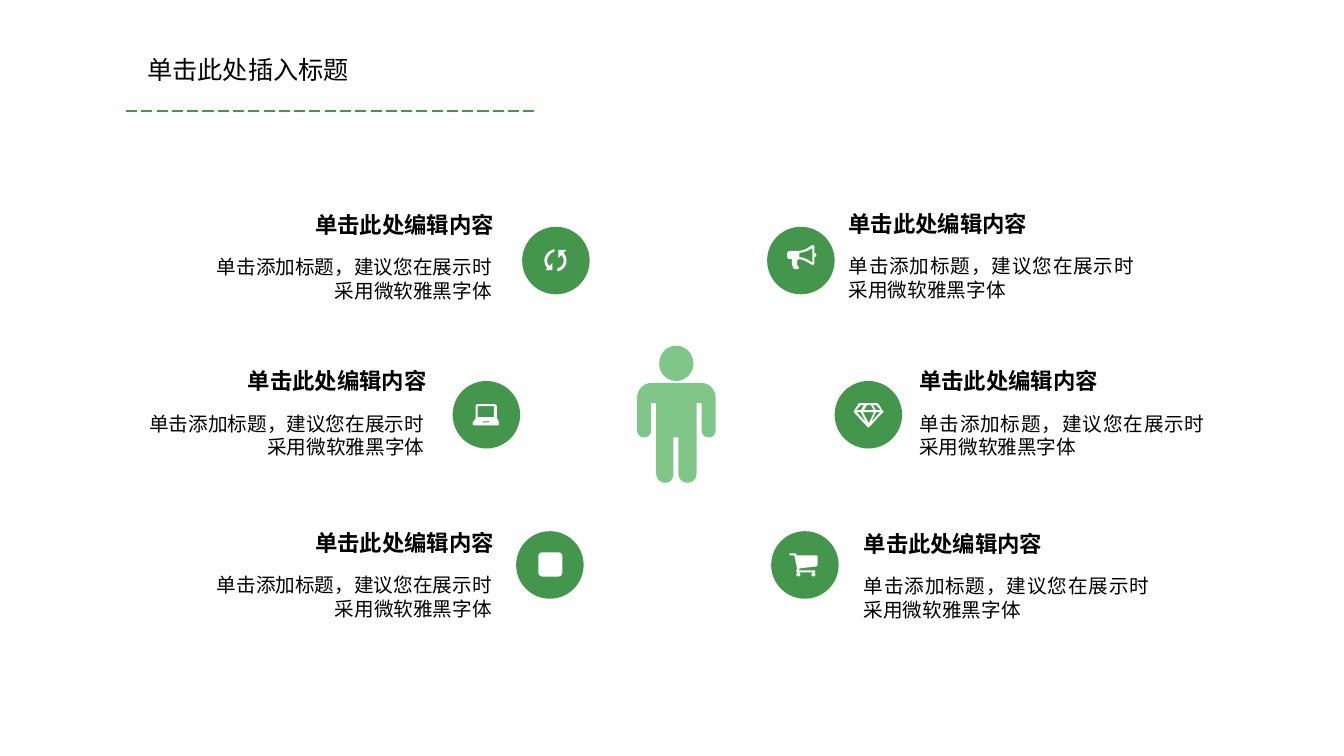
from dataclasses import dataclass

from lxml.etree import SubElement
from pptx import Presentation
from pptx.dml.color import RGBColor
from pptx.enum.dml import MSO_LINE
from pptx.enum.lang import MSO_LANGUAGE_ID
from pptx.enum.shapes import MSO_CONNECTOR, MSO_SHAPE
from pptx.enum.text import MSO_ANCHOR, MSO_AUTO_SIZE, PP_ALIGN
from pptx.oxml.ns import qn
from pptx.util import Inches, Pt

COLUMNS, ROWS = 133.33, 75
POINTS_PER_CELL = 10  # outline units in one grid cell
CURVE_STEPS = 8


@dataclass(frozen=True)
class Theme:
    badge: RGBColor = RGBColor(0x43, 0x96, 0x4C)
    person: RGBColor = RGBColor(0x80, 0xC6, 0x88)
    icon: RGBColor = RGBColor(0xFF, 0xFF, 0xFF)
    text: RGBColor = RGBColor(0, 0, 0)
    font: str = "Quicksand"
    chinese_font: str = "Noto Sans CJK SC"
    title_size: int = 18
    heading_size: int = 16
    detail_size: int = 14
    detail_leading: int = 17


# Outlines are measured from the top left corner of the badge or figure.
MEGAPHONE = """M 45 21 C 41 24 37 25 32 26 L 32 30 C 37 31 41 32 45 36 Z
M 49 28 C 49 29 48 30 47 30 L 47 36 C 47 37 46 38 45 38 C 42 36 37 33 32 32
C 30 33 29 35 30 36 C 29 38 31 39 32 41 C 31 42 27 43 26 41 C 25 38 24 36 25 32
L 23 32 C 21 32 20 31 20 30 L 20 27 C 20 25 21 24 23 24 L 30 24
C 37 24 42 20 45 18 C 46 18 47 19 47 20 L 47 26 C 48 26 49 27 49 28 Z"""
DIAMOND = """M 46 29 L 41 24 L 38 24 L 41 29 Z M 45 31 L 41 31 L 36 41 Z
M 39 29 L 36 24 L 32 24 L 29 29 Z M 39 31 L 28 31 L 34 42 Z
M 31 41 L 26 31 L 22 31 Z M 29 24 L 26 24 L 21 29 L 26 29 Z
M 48 30 C 49 30 49 31 48 31 L 34 46 L 33 46 L 19 31 L 19 30 L 24 22 L 43 22 Z"""
CART = """M 42 45 C 41 45 40 44 40 43 C 40 42 41 41 42 41 C 43 41 44 42 44 43
C 44 44 43 45 42 45 Z M 27 45 C 26 45 25 44 25 43 C 25 42 26 41 27 41
C 28 41 29 42 29 43 C 29 44 28 45 27 45 Z
M 46 33 C 46 34 46 34 45 35 L 28 37 L 28 38 L 27 39 L 43 39 C 43 39 44 39 44 40
C 44 40 43 41 43 41 L 26 41 C 25 41 25 40 25 40 C 25 39 25 38 26 38 L 23 24
L 19 24 C 19 24 18 23 18 23 C 18 22 19 22 19 22 L 24 22 C 25 22 25 23 25 24
L 45 24 C 46 24 46 24 46 25 Z"""
REFRESH = """M 36 23 L 36 31 L 39 28 C 42 31 42 36 39 39 C 38 40 36 41 35 41
L 35 44 C 37 44 39 43 41 41 C 45 37 45 30 41 26 L 44 23 Z
M 27 39 C 24 36 24 31 28 27 C 29 26 30 25 32 25 L 32 22 C 30 23 27 24 26 25
C 21 30 21 36 25 41 L 23 43 L 30 43 L 30 36 Z"""
LAPTOP = """M 41 36 L 25 36 L 25 25 L 41 25 Z M 29 41 L 30 40 L 36 40 L 37 41 Z
M 46 41 C 46 40 44 37 44 37 L 44 25 C 44 24 43 23 41 23 L 25 23
C 24 23 23 24 23 25 L 23 37 C 23 37 21 40 20 41 L 20 43 C 20 43 21 44 21 44
L 45 44 C 46 44 46 43 46 42 Z"""
PERSON = """M 39 35 C 29 35 22 27 22 18 C 22 8 29 0 39 0 C 48 0 56 8 56 18
C 56 27 48 35 39 35 Z M 78 84 C 78 88 75 91 71 91 C 67 91 64 88 64 84 L 64 57
L 59 57 L 59 127 C 59 132 55 136 50 136 C 45 136 41 132 41 127 L 41 91 L 36 91
L 36 127 C 36 132 33 136 28 136 C 23 136 19 132 19 127 L 19 57 L 14 57 L 14 84
C 14 88 11 91 7 91 C 3 91 0 88 0 84 L 0 52 C 0 44 6 37 14 37 L 64 37
C 72 37 78 44 78 52 Z"""

HEADING = "单击此处编辑内容"
DETAIL = "单击添加标题，建议您在展示时采用微软雅黑字体"

# badge column, badge row, text column, heading row, alignment, icon
ITEMS = [
    (76.1, 22.5, 83.2, 20.1, PP_ALIGN.JUSTIFY, MEGAPHONE),
    (82.8, 37.8, 90.2, 35.7, PP_ALIGN.JUSTIFY, DIAMOND),
    (76.5, 52.7, 84.7, 51.8, PP_ALIGN.JUSTIFY, CART),
    (51.8, 22.5, 19.5, 20.2, PP_ALIGN.RIGHT, REFRESH),
    (44.9, 37.8, 12.8, 35.7, PP_ALIGN.RIGHT, LAPTOP),
    (51.2, 52.7, 19.5, 51.7, PP_ALIGN.RIGHT, None),
]


def trace_contours(outline):
    """Turn M, L, C and Z commands into one list of points per contour."""
    contours = []
    for command in outline.replace("Z", "").replace("M", "|M").split("|")[1:]:
        points = []
        for step in command.replace("L", "|L").replace("C", "|C").split("|"):
            numbers = [int(word) for word in step.split()[1:]]
            pairs = list(zip(numbers[::2], numbers[1::2]))
            if len(pairs) == 1:
                points += pairs
                continue
            corners = [points[-1], *pairs]
            for index in range(1, CURVE_STEPS + 1):
                t = index / CURVE_STEPS
                weights = ((1 - t) ** 3, 3 * t * (1 - t) ** 2, 3 * t * t * (1 - t), t ** 3)
                points.append(tuple(
                    sum(weight * corner[axis] for weight, corner in zip(weights, corners))
                    for axis in (0, 1)))
        contours.append([(100 * x, 100 * y) for x, y in points])
    return contours


def write_text(frame, text, *, theme, size, font, bold=False,
               align=PP_ALIGN.LEFT, spacing=1.0):
    frame.word_wrap = True
    frame.vertical_anchor = MSO_ANCHOR.TOP
    paragraph = frame.paragraphs[0]
    paragraph.alignment = align
    paragraph.line_spacing = spacing
    run = paragraph.add_run()
    run.text = text
    run.font.size = Pt(size)
    run.font.bold = bold
    run.font.color.rgb = theme.text
    run.font.name = font
    run.font.language_id = MSO_LANGUAGE_ID.SIMPLIFIED_CHINESE
    SubElement(run.font._element, qn("a:ea")).set("typeface", theme.chinese_font)


class SlideBuilder:
    def __init__(self, presentation, theme):
        self.theme = theme
        self.slide = presentation.slides.add_slide(presentation.slide_layouts[5])
        self.column = presentation.slide_width / COLUMNS
        self.row = presentation.slide_height / ROWS

    def place(self, *cells):
        """Turn columns and rows, in turn, into slide lengths."""
        return [round(cell * (self.row if index % 2 else self.column))
                for index, cell in enumerate(cells)]

    def title(self, text, *box):
        shape = self.slide.shapes.title
        shape.left, shape.top, shape.width, shape.height = self.place(*box)
        shape.text_frame.auto_size = MSO_AUTO_SIZE.NONE
        write_text(shape.text_frame, text, theme=self.theme,
                   size=self.theme.title_size, font=self.theme.chinese_font)

    def text(self, text, *box, **text_format):
        frame = self.slide.shapes.add_textbox(*self.place(*box)).text_frame
        frame.auto_size = MSO_AUTO_SIZE.SHAPE_TO_FIT_TEXT
        write_text(frame, text, theme=self.theme, font=self.theme.font, **text_format)

    def paint(self, shape, color):
        shape.shadow.inherit = False
        shape.fill.solid()
        shape.fill.fore_color.rgb = color
        shape.line.fill.background()

    def preset(self, kind, color, *box):
        self.paint(self.slide.shapes.add_shape(kind, *self.place(*box)), color)

    def outline(self, outline, color, column, row):
        first, *others = trace_contours(outline)
        builder = self.slide.shapes.build_freeform(
            *first[0], scale=self.column / POINTS_PER_CELL / 100)
        builder.add_line_segments(first[1:], close=True)
        for contour in others:
            builder.move_to(*contour[0])
            builder.add_line_segments(contour[1:], close=True)
        self.paint(builder.convert_to_shape(*self.place(column, row)), color)

    def dashed_line(self, *ends):
        line = self.slide.shapes.add_connector(MSO_CONNECTOR.STRAIGHT, *self.place(*ends))
        line.line.color.rgb = self.theme.badge
        line.line.width = Pt(1)
        line.line.dash_style = MSO_LINE.LONG_DASH
        SubElement(line._element.spPr, qn("a:effectLst"))

    def item(self, badge_column, badge_row, text_column, heading_row, align, icon):
        self.preset(MSO_SHAPE.OVAL, self.theme.badge, badge_column, badge_row, 6.7, 6.7)
        if icon:
            self.outline(icon, self.theme.icon, badge_column, badge_row)
        else:
            self.preset(MSO_SHAPE.ROUNDED_RECTANGLE, self.theme.icon,
                        badge_column + 2.2, badge_row + 2.1, 2.4, 2.4)
        on_right = align == PP_ALIGN.RIGHT
        self.text(HEADING, text_column + (2.4 if on_right else 0), heading_row, 28.1, 3.8,
                  size=self.theme.heading_size, bold=True, spacing=1.1,
                  align=align if on_right else PP_ALIGN.LEFT)
        self.text(DETAIL, text_column, heading_row + 4.6, 30.3, 5.8,
                  size=self.theme.detail_size, align=align,
                  spacing=Pt(self.theme.detail_leading))


def main():
    presentation = Presentation()
    presentation.slide_width, presentation.slide_height = Inches(13.33), Inches(7.5)
    builder = SlideBuilder(presentation, Theme())
    builder.title("单击此处插入标题", 13.6, 4.9, 39.7, 4)
    builder.dashed_line(12.5, 11, 53.3, 11)
    builder.outline(PERSON, builder.theme.person, 63.2, 34.3)
    for item in ITEMS:
        builder.item(*item)
    presentation.save("out.pptx")


if __name__ == "__main__":
    main()
